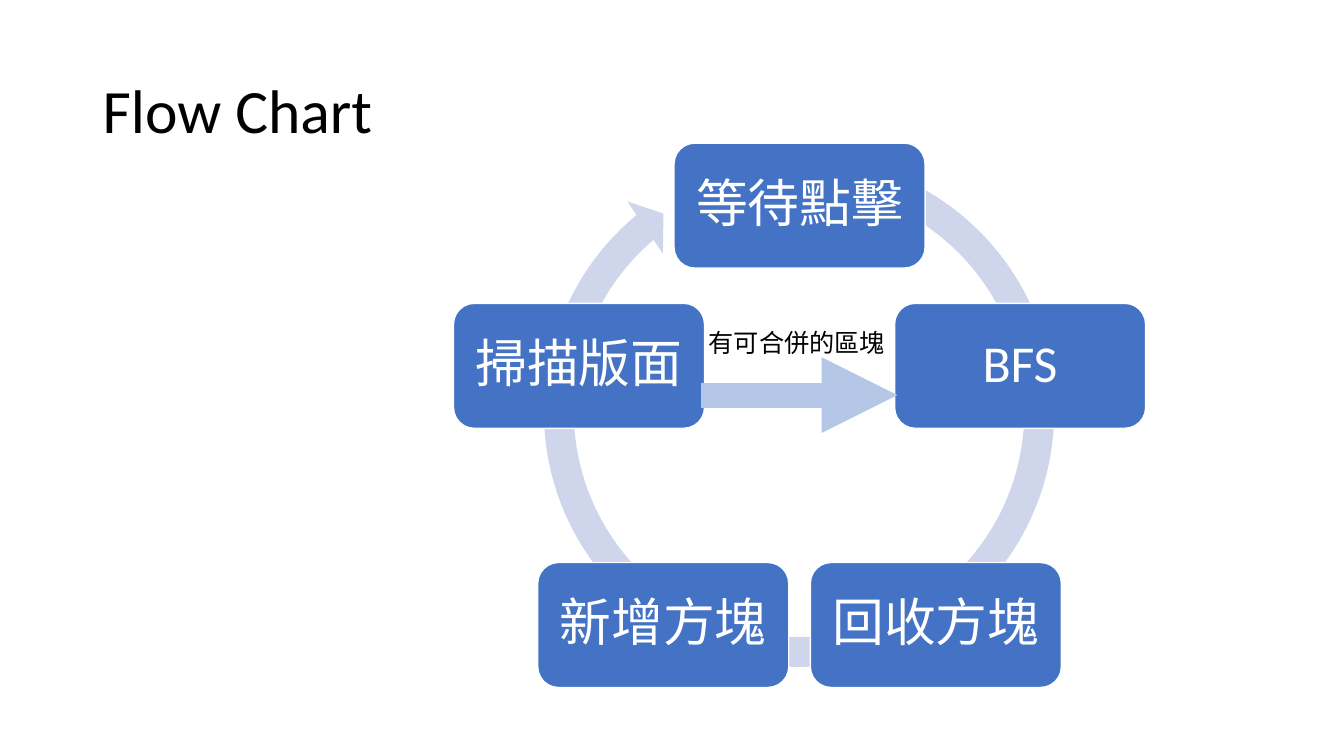
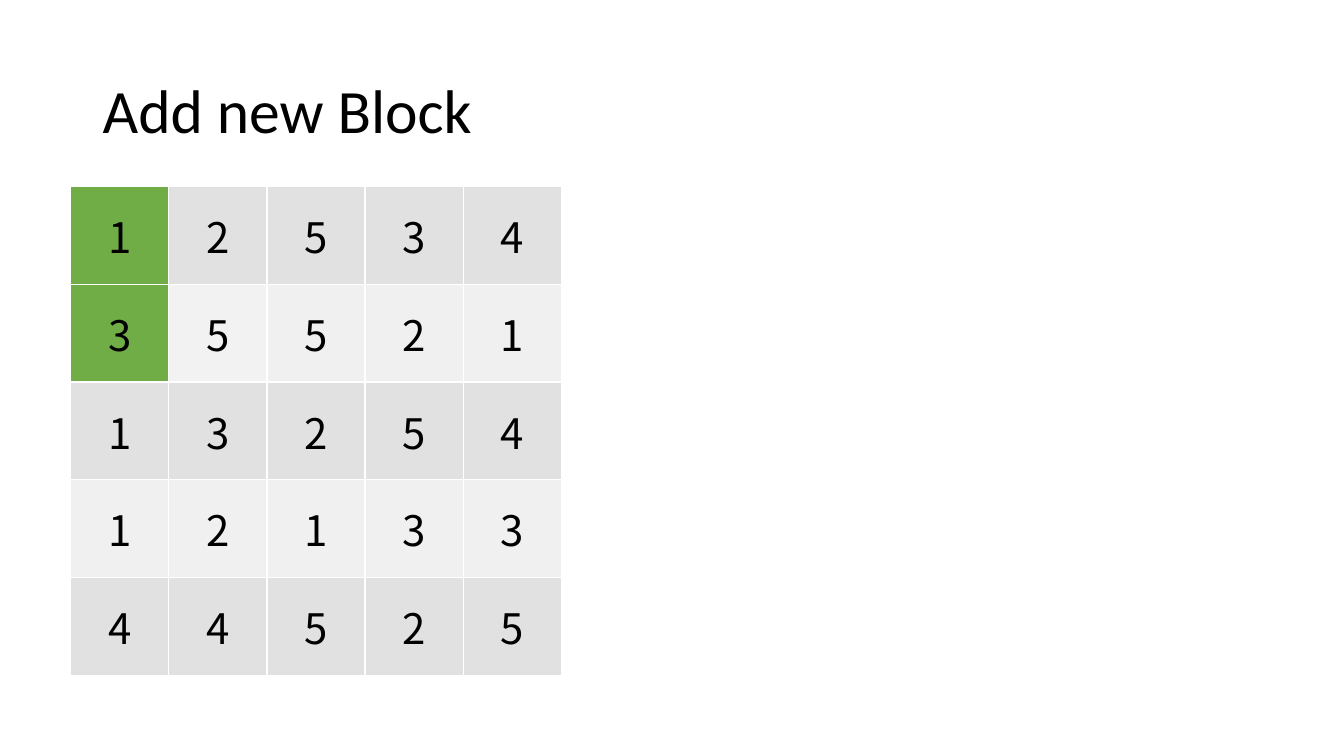
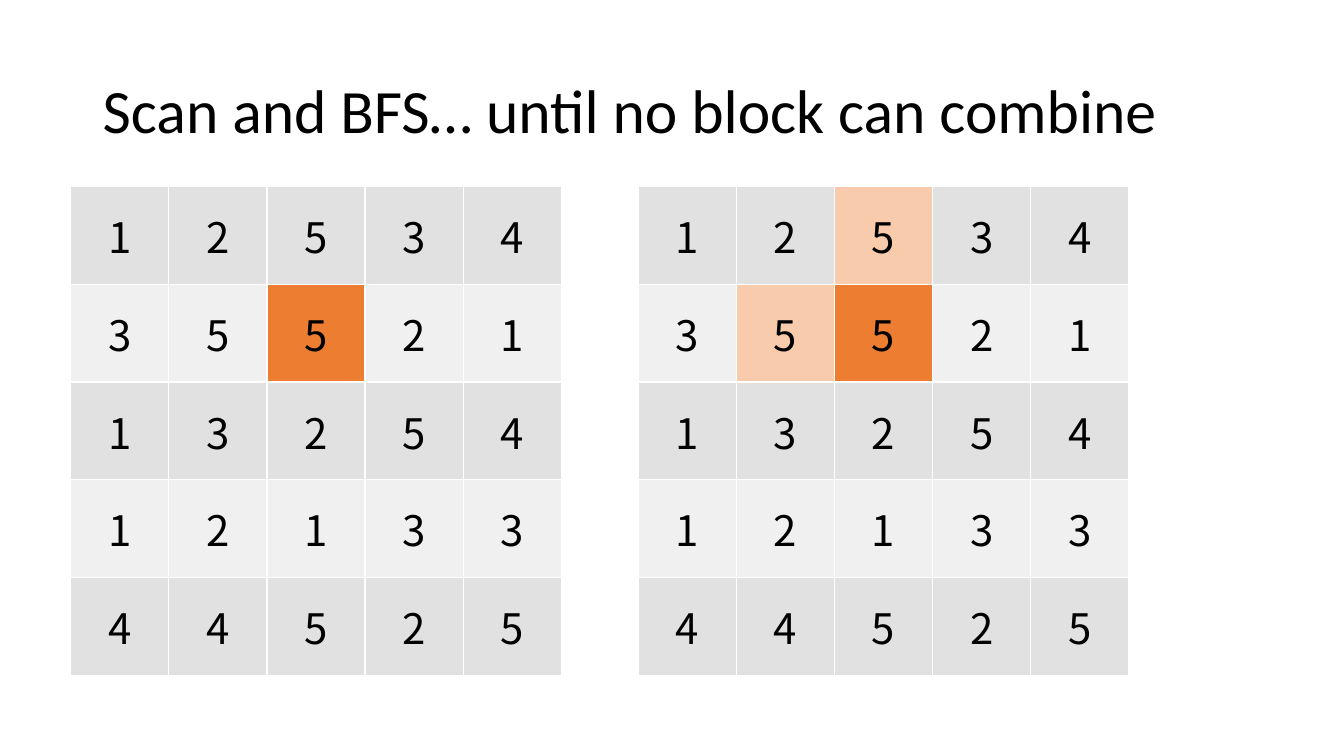
from math import cos, radians, sin

from lxml import etree
from pptx import Presentation
from pptx.dml.color import RGBColor
from pptx.enum.shapes import MSO_CONNECTOR, MSO_SHAPE
from pptx.enum.text import MSO_ANCHOR, PP_ALIGN
from pptx.oxml.ns import qn
from pptx.util import Inches, Pt

CENTER = PP_ALIGN.CENTER
MIDDLE = MSO_ANCHOR.MIDDLE
ROUNDED = MSO_SHAPE.ROUNDED_RECTANGLE
CIRCULAR_ARROW = MSO_SHAPE.CIRCULAR_ARROW
STRAIGHT = MSO_CONNECTOR.STRAIGHT

BLACK = RGBColor(0x00, 0x00, 0x00)
WHITE = RGBColor(0xFF, 0xFF, 0xFF)
BLUE = RGBColor(0x44, 0x72, 0xC4)
LIGHT_BLUE = RGBColor(0xB4, 0xC7, 0xE7)
RING = RGBColor(0xCF, 0xD5, 0xEA)
GREEN = RGBColor(0x70, 0xAD, 0x47)
ORANGE = RGBColor(0xED, 0x7D, 0x31)
PEACH = RGBColor(0xF8, 0xCB, 0xAD)
ODD_ROW = RGBColor(0xE1, 0xE1, 0xE1)
EVEN_ROW = RGBColor(0xF0, 0xF0, 0xF0)
PALE_GREY = RGBColor(0xF2, 0xF2, 0xF2)

FONT = "Calibri"
GRID_FONT = "Noto Sans CJK JP"

BLOCKS = ["12534", "35521", "13254", "12133", "44525"]
GRID_TOP, GRID_W, GRID_H = 1.85, 4.87, 4.85
LEFT_GRID, RIGHT_GRID = 0.7, 6.33

# Each slide: title, then its grids as (left, {(row, column): fill})
SLIDES = [
    ("Flow Chart", []),
    ("Add new Block", [
        (LEFT_GRID, {(0, 0): GREEN, (1, 0): GREEN, (1, 1): PALE_GREY}),
    ]),
    ("Scan and BFS… until no block can combine", [
        (LEFT_GRID, {(1, 2): ORANGE}),
        (RIGHT_GRID, {(0, 2): PEACH, (1, 1): PEACH, (1, 2): ORANGE}),
    ]),
]


def set_text(tf, text, size, color, font=FONT):
    """Write one paragraph and return it."""
    tf.text = text
    p = tf.paragraphs[0]
    f = p.runs[0].font
    f.size, f.name, f.color.rgb = Pt(size), font, color
    return p


def add_grid(slide, left, highlights):
    """Add the table of blocks, with some cells in a fill of their own."""
    n = len(BLOCKS)
    table = slide.shapes.add_table(n, n, Inches(left), Inches(GRID_TOP),
                                   Inches(GRID_W), Inches(GRID_H)).table
    table.first_row = False
    for row, digits in enumerate(BLOCKS):
        for col, digit in enumerate(digits):
            cell = table.cell(row, col)
            p = set_text(cell.text_frame, digit, 30, BLACK, GRID_FONT)
            p.alignment = CENTER
            cell.vertical_anchor = MIDDLE
            tc_pr = cell._tc.get_or_add_tcPr()
            for side in ("lnL", "lnR", "lnT", "lnB"):
                ln = etree.SubElement(tc_pr, qn("a:" + side), w=str(Pt(1)))
                fill = etree.SubElement(ln, qn("a:solidFill"))
                etree.SubElement(fill, qn("a:srgbClr"), val=str(WHITE))
            cell.fill.solid()
            band = EVEN_ROW if row % 2 else ODD_ROW
            cell.fill.fore_color.rgb = highlights.get((row, col), band)


prs = Presentation()
prs.slide_width, prs.slide_height = Inches(13.33), Inches(7.5)

for title, grids in SLIDES:
    slide = prs.slides.add_slide(prs.slide_layouts[6])
    tf = slide.shapes.add_textbox(Inches(0.92), Inches(0.4),
                                  Inches(11.5), Inches(1.45)).text_frame
    tf.word_wrap = True
    tf.vertical_anchor = MIDDLE
    set_text(tf, title, 44, BLACK).line_spacing = 0.9
    for left, highlights in grids:
        add_grid(slide, left, highlights)

# Flow chart: five steps, clockwise from the top of a ring
shapes = prs.slides[0].shapes
ring = shapes.add_shape(CIRCULAR_ARROW, Inches(5.23), Inches(1.39),
                        Inches(5.39), Inches(5.39))
for i, value in enumerate([5.5 / 100, 3.31, 138.08, 173.66, 5.8 / 100]):
    ring.adjustments[i] = value
ring.shadow.inherit = False
ring.fill.solid()
ring.fill.fore_color.rgb = RING
ring.line.fill.background()

STEPS = ["等待點擊", "BFS", "回收方塊", "新增方塊", "掃描版面"]
CENTER_X, CENTER_Y, RADIUS = 7.93, 4.34, 2.3
STEP_W, STEP_H = 2.49, 1.24
for i, step in enumerate(STEPS):
    angle = radians(360 / len(STEPS) * i)
    x = CENTER_X + RADIUS * sin(angle) - STEP_W / 2
    y = CENTER_Y - RADIUS * cos(angle) - STEP_H / 2
    sp = shapes.add_shape(ROUNDED, Inches(x), Inches(y),
                          Inches(STEP_W), Inches(STEP_H))
    sp.shadow.inherit = False
    sp.fill.solid()
    sp.fill.fore_color.rgb = BLUE
    sp.line.color.rgb = WHITE
    sp.line.width = Pt(1)
    tf = sp.text_frame
    tf.margin_left = tf.margin_right = Inches(0.1)
    tf.vertical_anchor = MIDDLE
    p = set_text(tf, step, 37, WHITE)
    p.alignment = CENTER
    p.line_spacing = 0.9

arrow = shapes.add_connector(STRAIGHT, Inches(6.95), Inches(3.92),
                             Inches(8.9), Inches(3.92))
arrow.line.color.rgb = LIGHT_BLUE
arrow.line.width = Pt(18)
etree.SubElement(arrow.line._get_or_add_ln(), qn("a:tailEnd"), type="triangle")
etree.SubElement(arrow._element.spPr, qn("a:effectLst"))

tf = shapes.add_textbox(Inches(6.93), Inches(3.2),
                        Inches(2.19), Inches(0.4)).text_frame
tf.word_wrap = True
set_text(tf, "有可合併的區塊", 18, BLACK)

prs.save("out.pptx")
